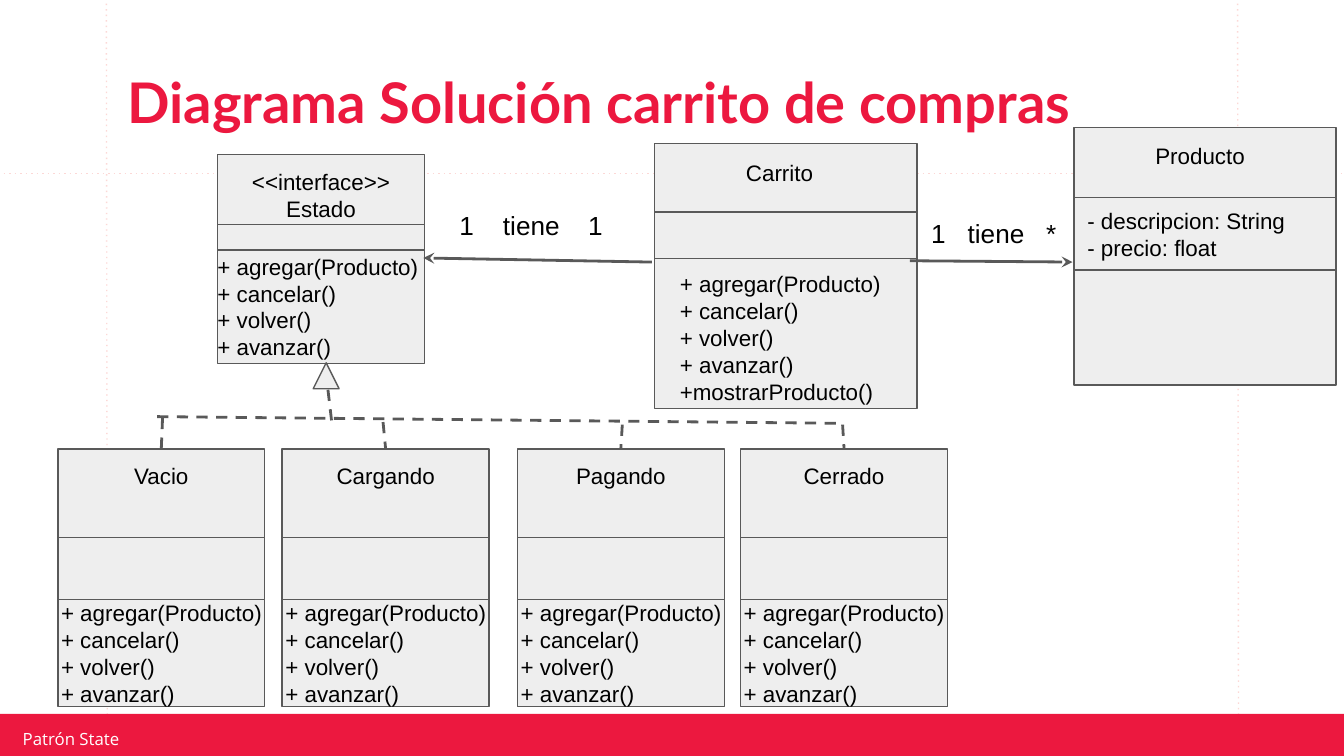
from dataclasses import dataclass

from lxml import etree
from pptx import Presentation
from pptx.dml.color import RGBColor
from pptx.enum.shapes import MSO_CONNECTOR, MSO_SHAPE
from pptx.enum.text import MSO_ANCHOR, MSO_AUTO_SIZE, PP_ALIGN
from pptx.oxml.ns import qn
from pptx.util import Pt

RECT, TRIANGLE = MSO_SHAPE.RECTANGLE, MSO_SHAPE.ISOSCELES_TRIANGLE
LINE = MSO_CONNECTOR.STRAIGHT
TOP, MIDDLE, BOTTOM = MSO_ANCHOR.TOP, MSO_ANCHOR.MIDDLE, MSO_ANCHOR.BOTTOM
LEFT, CENTER = PP_ALIGN.LEFT, PP_ALIGN.CENTER
FIXED = MSO_AUTO_SIZE.NONE


@dataclass(frozen=True)
class Theme:
    red: str = "EC183F"
    guide: str = "FCD8D6"
    panel: str = "EEEEEE"
    edge: str = "595959"
    ink: str = "000000"
    white: str = "FFFFFF"
    head: int = 30
    label: int = 14
    body: int = 12
    small: int = 9
    thin: float = 0.75
    thick: float = 1.5


def apply(target, values):
    for name, value in values.items():
        setattr(target, name, value)


class Canvas:
    def __init__(self, slide, theme):
        self.slide, self.theme = slide, theme

    def letter(self, shape, lines, size, color=None, font="Arial", bold=False,
               align=LEFT, anchor=TOP, inset=(7.2, 7.2), tabs=(), spacing=None):
        """Fill a shape with one paragraph per line; tabs are stops in points."""
        frame = shape.text_frame
        side, edge = map(Pt, inset)
        apply(frame, {"text": "\n".join(lines), "word_wrap": True,
                      "auto_size": FIXED, "vertical_anchor": anchor,
                      "margin_left": side, "margin_right": side,
                      "margin_top": edge, "margin_bottom": edge})
        for para in frame.paragraphs:
            apply(para, {"alignment": align, "line_spacing": spacing})
            font_values = {"name": font, "size": Pt(size), "bold": bold}
            for run in para.runs:
                apply(run.font, font_values)
                run.font.color.rgb = RGBColor.from_string(color or self.theme.ink)
            if tabs:
                stops = etree.SubElement(para._p.get_or_add_pPr(), qn("a:tabLst"))
                for stop in tabs:
                    etree.SubElement(stops, qn("a:tab"), pos=str(Pt(stop)), algn="l")

    def title(self, text, area):
        shape = self.slide.shapes.title
        apply(shape, dict(zip(("left", "top", "width", "height"), map(Pt, area))))
        self.letter(shape, [text], self.theme.head, self.theme.red, "Lato", True,
                    anchor=BOTTOM, spacing=0.9)

    def text(self, area, lines, size, **style):
        self.letter(self.slide.shapes.add_textbox(*map(Pt, area)), lines, size, **style)

    def shape(self, area, kind=RECT, fill=None, edge=None):
        shape = self.slide.shapes.add_shape(kind, *map(Pt, area))
        shape.shadow.inherit = False
        shape.fill.solid()
        shape.fill.fore_color.rgb = RGBColor.from_string(fill or self.theme.panel)
        shape.line.color.rgb = RGBColor.from_string(edge or self.theme.edge)
        shape.line.width = Pt(self.theme.thin)
        return shape

    def line(self, start, end, color=None, width=None, dash=None, arrow=None):
        link = self.slide.shapes.add_connector(LINE, *map(Pt, start + end))
        link.line.color.rgb = RGBColor.from_string(color or self.theme.edge)
        link.line.width = Pt(width or self.theme.thick)
        props = link._element.spPr
        stroke = props.find(qn("a:ln"))
        if dash:
            etree.SubElement(stroke, qn("a:prstDash"), val=dash)
        if arrow:
            etree.SubElement(stroke, qn("a:tailEnd"), type=arrow)
        etree.SubElement(props, qn("a:effectLst"))

    def entity(self, area, band, name, name_area, methods=(), method_area=None,
               fields=()):
        """Draw a UML class; band is the (top, height) of its field section."""
        size = self.theme.body
        self.shape(area)
        section = self.shape((area[0], band[0], area[2], band[1]))
        if fields:
            self.letter(section, fields, size, anchor=MIDDLE)
        self.text(name_area, name, size, align=CENTER)
        if methods:
            self.text(method_area, methods, size)


def main():
    deck = Presentation()
    deck.slide_width, deck.slide_height = Pt(720), Pt(405)
    theme = Theme()
    page = Canvas(deck.slides.add_slide(deck.slide_layouts[5]), theme)

    guides = [((57, -1), (57.5, 384)), ((663, -1), (663.5, 384)),
              ((-1, 93), (722, 93)), ((-1, 383), (721, 383))]
    for start, end in guides:
        page.line(start, end, theme.guide, theme.thin, "dot")
    page.shape((-1.5, 382.5, 722, 26), fill=theme.red).line.fill.background()
    page.text((8.6, 390.2, 172, 10.8), ["Patrón State"], theme.small,
              color=theme.white, font="Open Sans", anchor=MIDDLE, inset=(3.6, 1.4))
    page.title("Diagrama Solución carrito de compras", (61.2, 33.1, 607, 46.8))

    methods = ["+ agregar(Producto)", "+ cancelar()", "+ volver()", "+ avanzar()"]
    wide = 110.9
    page.entity((116.6, 82.8, wide, 112), (120.2, 13.7),
                ["<<interface>>", "Estado"], (116.6, 82.8, wide, 44),
                methods, (109.4, 128.2, 123, 73))
    page.entity((350.8, 77, 140.4, 142), (113.6, 24.8),
                ["Carrito"], (362.2, 77.8, wide, 28.8),
                methods + ["+mostrarProducto()"], (357.1, 137.5, 123, 87))
    page.entity((575.4, 68.4, 140.4, 138), (105.8, 39),
                ["Producto"], (587.5, 69.1, wide, 28.8),
                fields=["- descripcion: String", "- precio: float"])

    top = 240.5
    states = [("Vacio", 31, (87.1, 223.9), 86.4),
              ("Cargando", 151.2, (205.2, 226.1), 206.6),
              ("Pagando", 277.2, (333.4, 227.5), 332.6),
              ("Cerrado", 396.7, (451.4, 227.5), 452.2)]
    for name, left, start, foot in states:
        page.entity((left, top, wide, 138.2), (top + 47.5, 33.1),
                    [name], (left, top, wide, 28.8),
                    methods, (left - 5.4, top + 73.4, 123, 73))
        page.line(start, (foot, top), dash="dash")
    page.line((84.2, 223.2), (452.2, 226.8), dash="dash")
    page.line((175.7, 208.8), (177.8, 226.8), dash="dash")
    page.shape((167.8, 194.4, 13.9, 13.9), TRIANGLE)

    page.line((349.2, 140.4), (226.8, 138.2), arrow="stealth")
    page.line((487.4, 139.7), (574.6, 140.4), arrow="stealth")
    page.text((239, 105.1, wide, 31.7), ["1\ttiene\t1"], theme.label, tabs=(23.4, 69))
    page.text((491.8, 109.4, wide, 31.7), ["1\ttiene\t*"], theme.label, tabs=(19.5, 61.6))

    deck.save("out.pptx")


if __name__ == "__main__":
    main()
